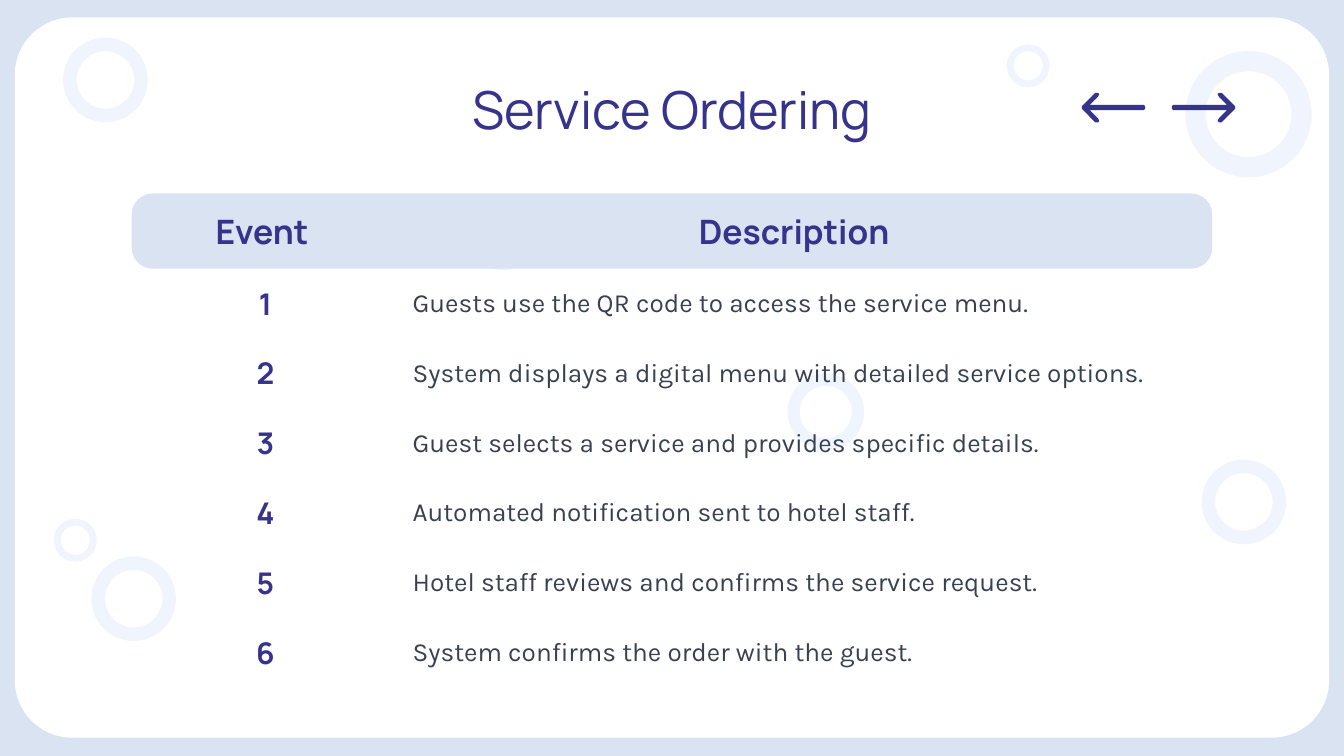
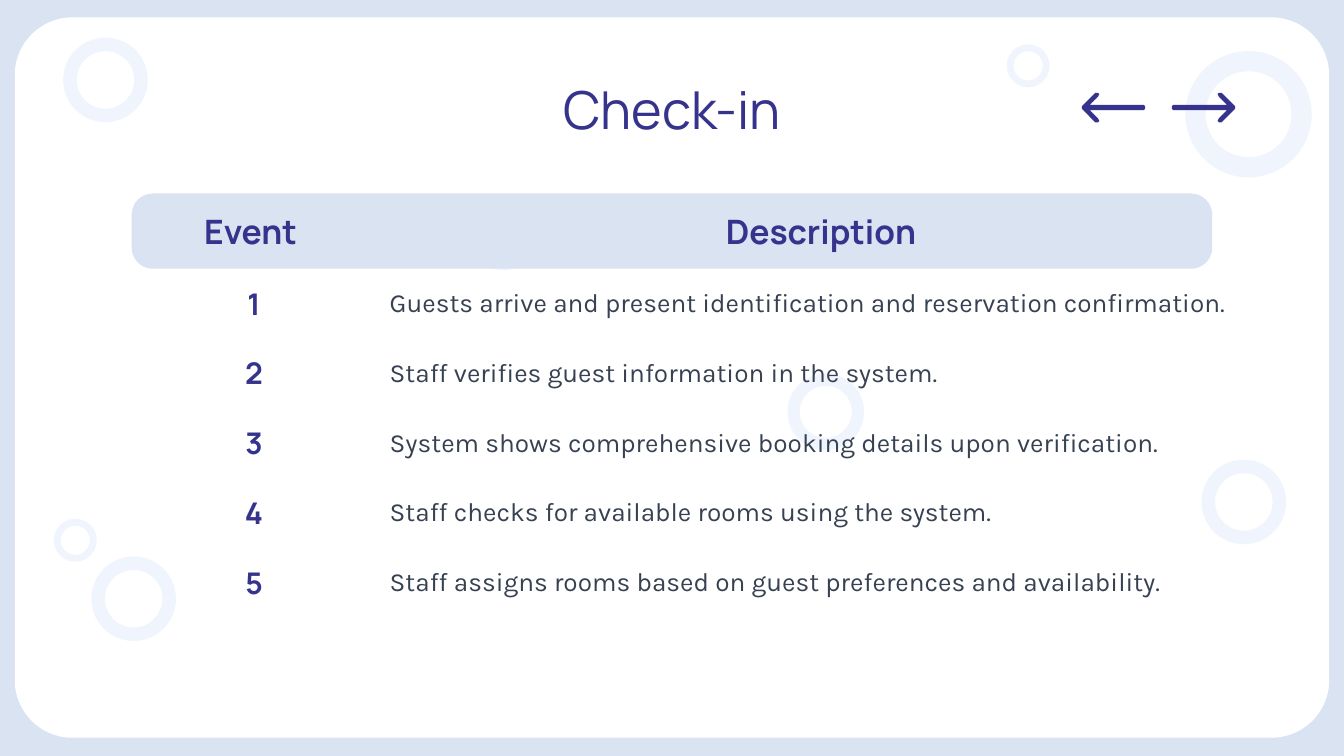
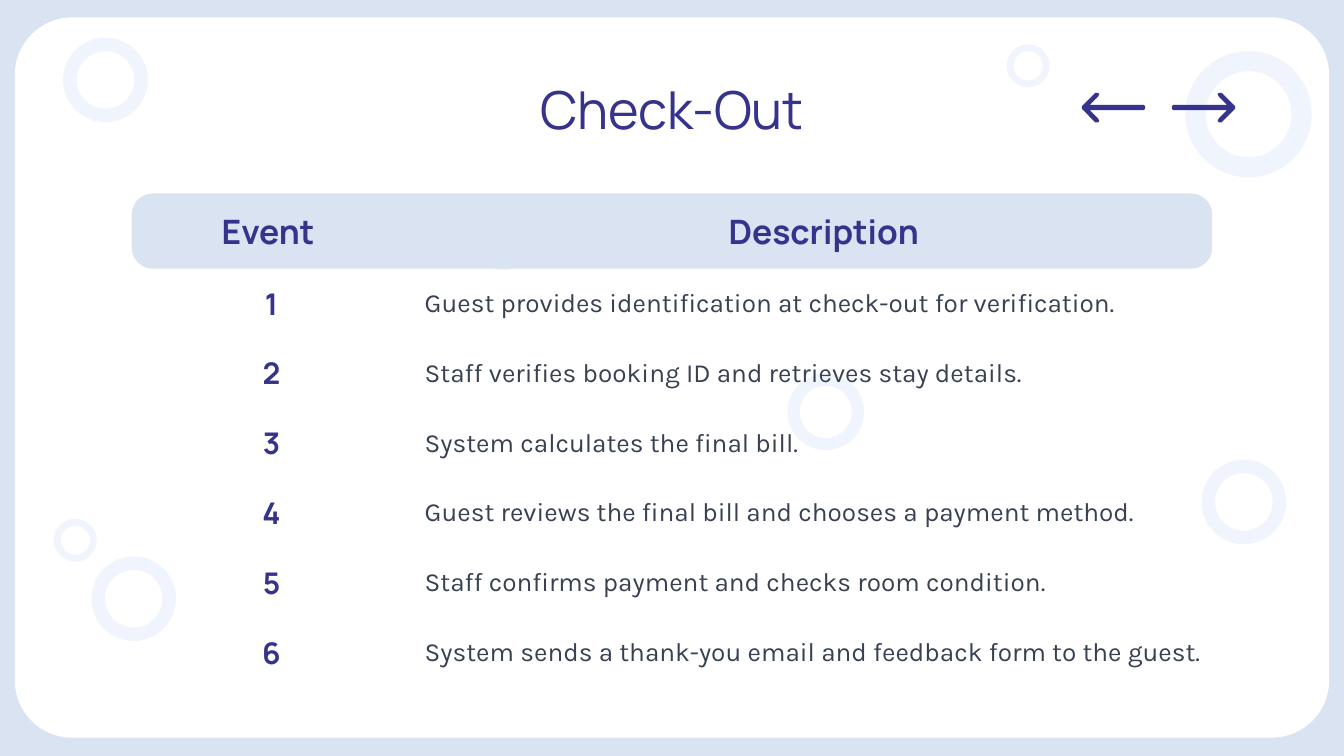
from dataclasses import dataclass

from lxml.etree import SubElement
from pptx import Presentation
from pptx.dml.color import RGBColor
from pptx.enum.shapes import MSO_SHAPE as Preset
from pptx.enum.text import MSO_ANCHOR as Anchor, PP_ALIGN as Align
from pptx.oxml.ns import qn
from pptx.util import Inches, Pt


@dataclass(frozen=True)
class Theme:
    band: RGBColor = RGBColor.from_string("DAE3F2")
    panel: RGBColor = RGBColor.from_string("FFFFFF")
    bubble: RGBColor = RGBColor.from_string("F0F5FD")
    accent: RGBColor = RGBColor.from_string("36338C")
    body: RGBColor = RGBColor.from_string("374151")
    heading_font: str = "Manrope"
    body_font: str = "Karla"
    title_size: int = 28
    header_size: int = 18
    number_size: int = 16
    body_size: int = 14


THEME = Theme()
INSET = Inches(0.1)
TABLE_LEFT, TABLE_TOP = 0.98, 1.44
HEADER_HEIGHT, ROW_HEIGHT = 0.56, 0.52

# left, top, diameter
BUBBLES = [
    (8.82, 0.38, 0.94),
    (8.94, 3.42, 0.63),
    (0.4, 3.86, 0.32),
    (0.47, 0.28, 0.63),
    (0.68, 4.14, 0.63),
    (5.86, 2.78, 0.57),
    (3.46, 1.44, 0.57),
    (7.49, 0.33, 0.32),
]

# Upper edge of an arrow, from tail to tip, measured from the tail on its axis
ARROW_EDGE = [
    (0, -0.01), (0.01, -0.02), (0.41, -0.02), (0.35, -0.08),
    (0.34, -0.1), (0.35, -0.11), (0.37, -0.11), (0.47, -0.01),
]
ARROW_AXIS = 0.8

# title, column widths, events
PROCESSES = [
    ("Service Ordering", (1.99, 5.88), [
        "Guests use the QR code to access the service menu.",
        "System displays a digital menu with detailed service options.",
        "Guest selects a service and provides specific details.",
        "Automated notification sent to hotel staff.",
        "Hotel staff reviews and confirms the service request.",
        "System confirms the order with the guest.",
    ]),
    ("Check-in", (1.82, 6.62), [
        "Guests arrive and present identification and reservation confirmation.",
        "Staff verifies guest information in the system.",
        "System shows comprehensive booking details upon verification.",
        "Staff checks for available rooms using the system.",
        "Staff assigns rooms based on guest preferences and availability.",
    ]),
    ("Check-Out", (2.08, 6.14), [
        "Guest provides identification at check-out for verification.",
        "Staff verifies booking ID and retrieves stay details.",
        "System calculates the final bill.",
        "Guest reviews the final bill and chooses a payment method.",
        "Staff confirms payment and checks room condition.",
        "System sends a thank-you email and feedback form to the guest.",
    ]),
]


def paint(shape, color):
    shape.shadow.inherit = False
    shape.fill.solid()
    shape.fill.fore_color.rgb = color
    shape.line.fill.background()


def add_preset(slide, preset, left, top, width, height, color, adjustment):
    shape = slide.shapes.add_shape(
        preset, Inches(left), Inches(top), Inches(width), Inches(height))
    shape.adjustments[0] = adjustment
    paint(shape, color)


def write(paragraph, text, size, bold=False, align=Align.CENTER,
          name=THEME.heading_font, color=THEME.accent):
    paragraph.text = text
    paragraph.alignment = align
    font = paragraph.font
    font.name, font.size, font.bold = name, Pt(size), bold
    font.color.rgb = color


def set_insets(holder):
    holder.margin_left = holder.margin_right = INSET
    holder.margin_top = holder.margin_bottom = INSET
    holder.vertical_anchor = Anchor.MIDDLE


def add_backdrop(slide):
    add_preset(slide, Preset.ROUNDED_RECTANGLE, 0.11, 0.13, 9.78, 5.36, THEME.panel, 0.08)
    for left, top, diameter in BUBBLES:
        add_preset(slide, Preset.DONUT, left, top, diameter, diameter, THEME.bubble, 0.16)


def add_title(slide, title):
    box = slide.shapes.add_textbox(Inches(0.78), Inches(0.49), Inches(8.44), Inches(0.63))
    frame = box.text_frame
    frame.word_wrap = True
    set_insets(frame)
    write(frame.paragraphs[0], title, THEME.title_size)


def add_arrow(slide, tail, direction):
    """Draw an arrow from tail; direction is 1 for right and -1 for left."""
    outline = ARROW_EDGE + [(x, -y) for x, y in reversed(ARROW_EDGE)]
    points = [(Inches(tail + direction * x), Inches(ARROW_AXIS + y)) for x, y in outline]
    builder = slide.shapes.build_freeform(*points[0])
    builder.add_line_segments(points[1:], close=True)
    paint(builder.convert_to_shape(), THEME.accent)


def clear_cell(cell):
    """Remove the borders and fill that the table style gives a cell."""
    properties = cell._tc.get_or_add_tcPr()
    for side in ("a:lnL", "a:lnR", "a:lnT", "a:lnB"):
        SubElement(SubElement(properties, qn(side)), qn("a:noFill"))
    cell.fill.background()
    set_insets(cell)


def add_event_table(slide, column_widths, events):
    add_preset(slide, Preset.ROUNDED_RECTANGLE, TABLE_LEFT, TABLE_TOP, 8.04,
               HEADER_HEIGHT, THEME.band, 0.28)
    height = HEADER_HEIGHT + ROW_HEIGHT * len(events)
    table = slide.shapes.add_table(
        len(events) + 1, 2, Inches(TABLE_LEFT), Inches(TABLE_TOP),
        Inches(sum(column_widths)), Inches(height)).table
    table.first_row = table.horz_banding = False
    for column, width in zip(table.columns, column_widths):
        column.width = Inches(width)
    for index, row in enumerate(table.rows):
        row.height = Inches(ROW_HEIGHT if index else HEADER_HEIGHT)
    for cell in table.iter_cells():
        clear_cell(cell)

    for column, header in enumerate(("Event ", "Description")):
        write(table.cell(0, column).text_frame.paragraphs[0], header,
              THEME.header_size, bold=True)
    for number, event in enumerate(events, start=1):
        write(table.cell(number, 0).text_frame.paragraphs[0], str(number),
              THEME.number_size, bold=True)
        write(table.cell(number, 1).text_frame.paragraphs[0], event, THEME.body_size,
              align=Align.LEFT, name=THEME.body_font, color=THEME.body)


def main():
    presentation = Presentation()
    presentation.slide_width = Inches(10)
    presentation.slide_height = Inches(10) * 9 // 16
    background = presentation.slide_master.background.fill
    background.solid()
    background.fore_color.rgb = THEME.band

    for title, column_widths, events in PROCESSES:
        slide = presentation.slides.add_slide(presentation.slide_layouts[6])
        add_backdrop(slide)
        add_event_table(slide, column_widths, events)
        add_title(slide, title)
        add_arrow(slide, 8.72, 1)
        add_arrow(slide, 8.52, -1)

    presentation.save("out.pptx")


if __name__ == "__main__":
    main()
